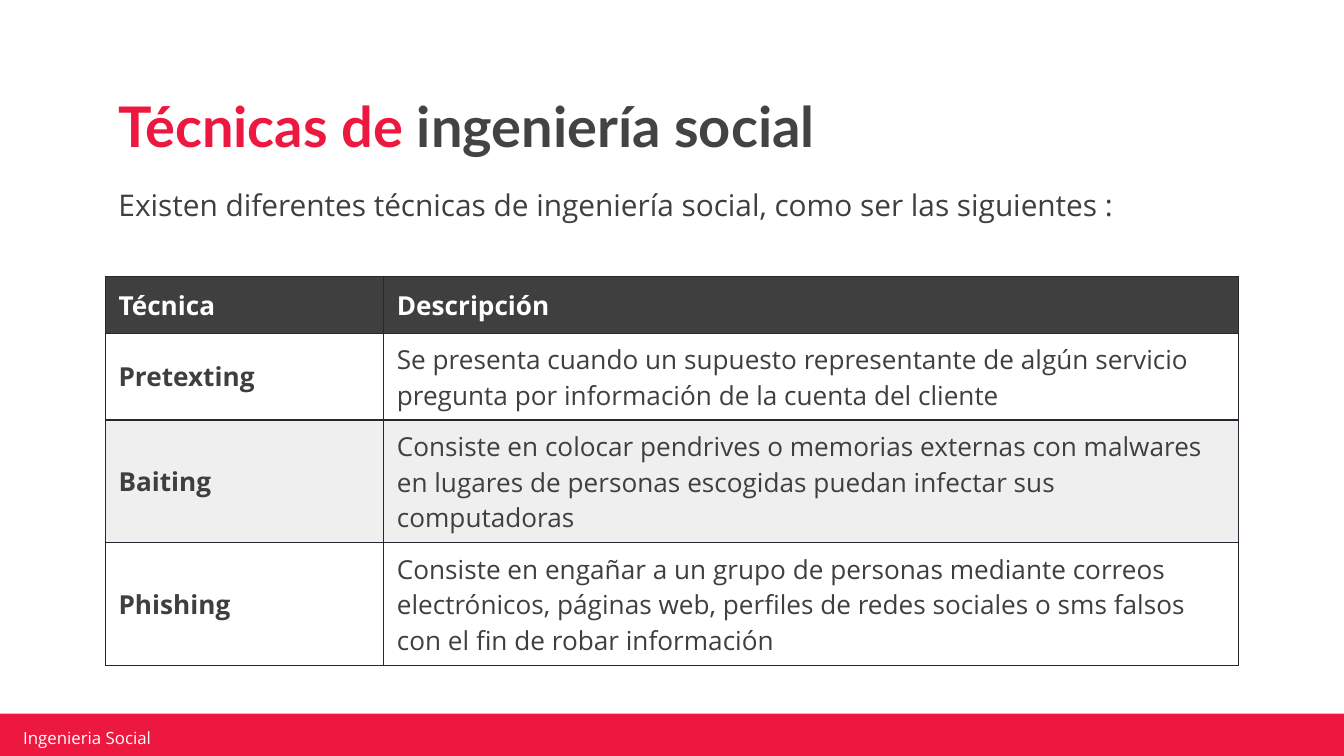
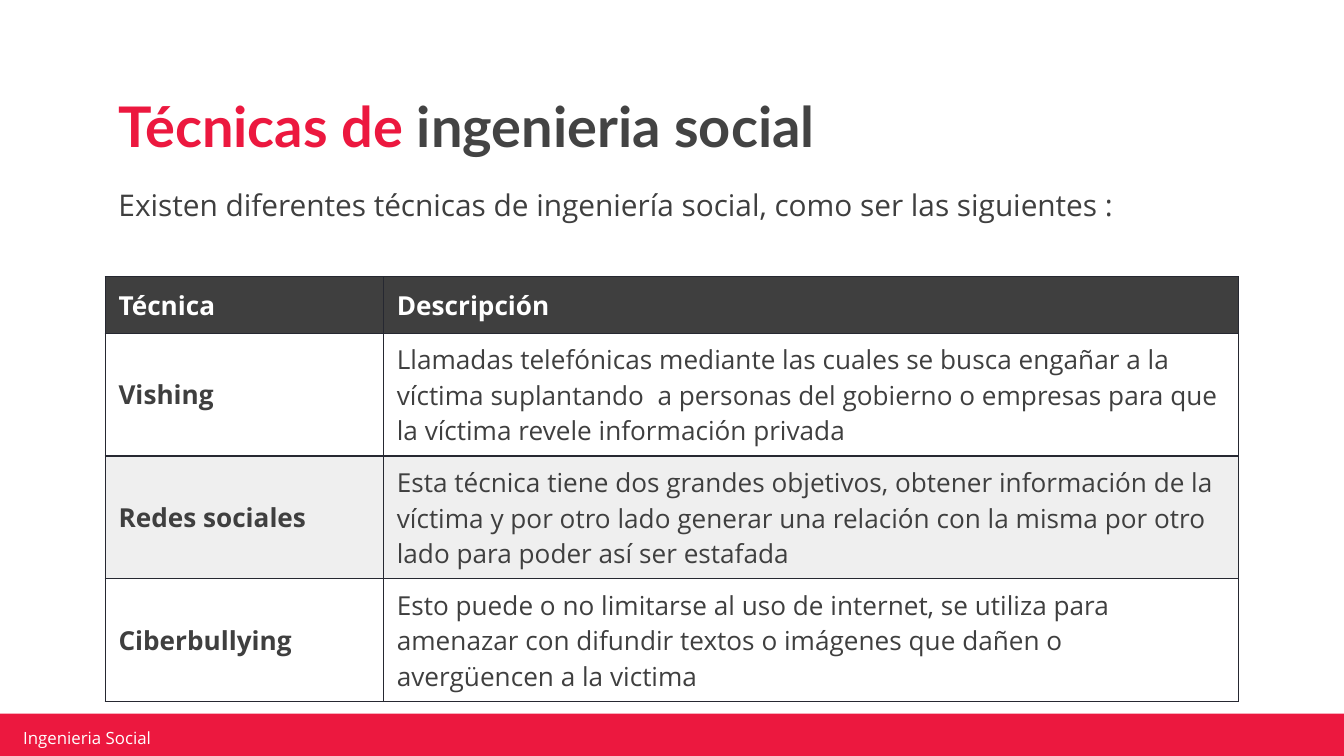
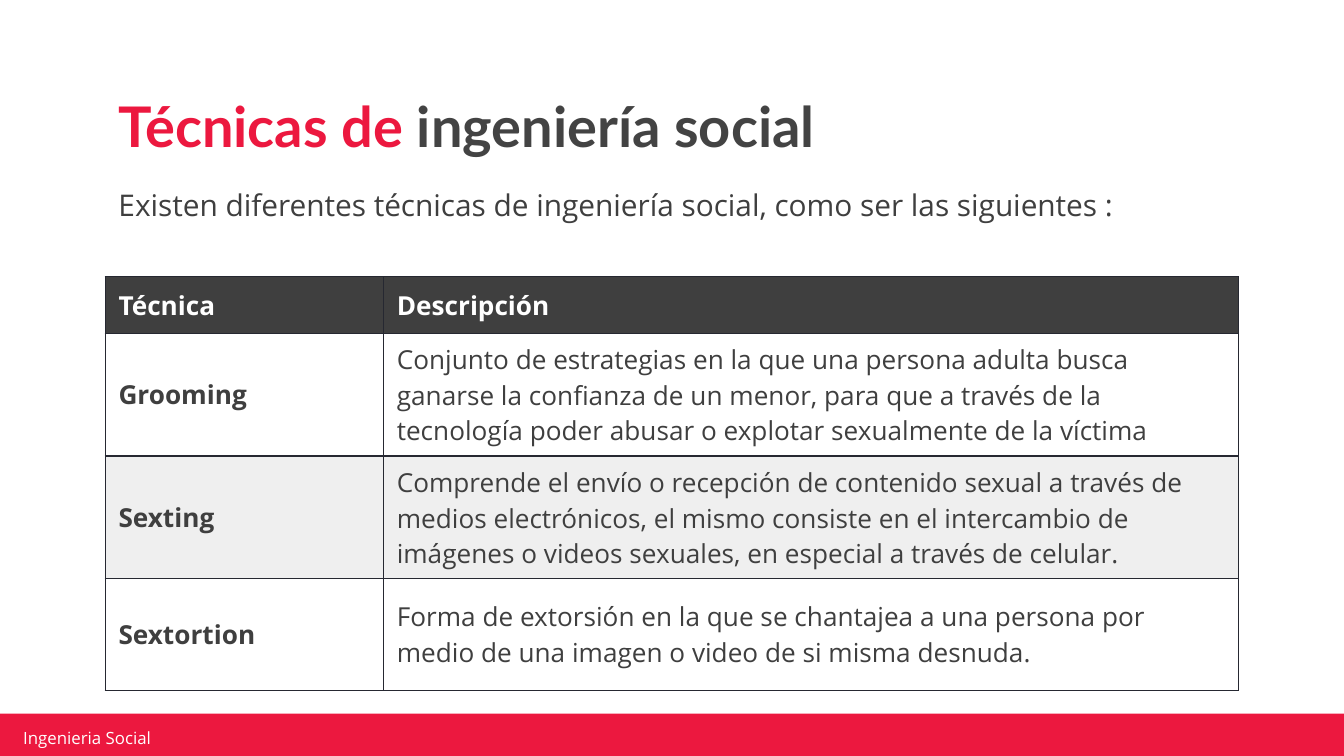
from lxml import etree
from pptx import Presentation
from pptx.dml.color import RGBColor
from pptx.enum.shapes import MSO_SHAPE
from pptx.enum.text import MSO_ANCHOR
from pptx.oxml.ns import qn
from pptx.util import Cm, Pt

RECT = MSO_SHAPE.RECTANGLE
TOP, MIDDLE, BOTTOM = MSO_ANCHOR.TOP, MSO_ANCHOR.MIDDLE, MSO_ANCHOR.BOTTOM
COLORS = {"red": "EC183F", "title": "434343", "text": "3F3F3F",
          "stripe": "EFEFEF", "border": "262831", "white": "FFFFFF"}
TITLE = {"name": "Lato", "size": Pt(30), "bold": True}
INTRO = {"name": "Open Sans", "size": Pt(16)}
CELL = {"name": "Open Sans", "size": Pt(14)}
FOOTER = {"name": "Open Sans", "size": Pt(9)}
LEFT, WIDTH = 1.99, 21.41
COLUMNS = (5.26, 16.15)
HEADER_ROW, TWO_LINES, THREE_LINES, TALL_ROW = 1.07, 1.64, 2.32, 2.11
HEADER = ("Técnica", "Descripción")
INTRO_TEXT = "Existen diferentes técnicas de ingeniería social, como ser las siguientes :"

SLIDES = [
    ("ingeniería social", (TWO_LINES, THREE_LINES, THREE_LINES), [
        ("Pretexting", "Se presenta cuando un supuesto representante de algún servicio "
         "pregunta por información de la cuenta del cliente"),
        ("Baiting", "Consiste en colocar pendrives o memorias externas con malwares en "
         "lugares de personas escogidas puedan infectar sus computadoras"),
        ("Phishing", "Consiste en engañar a un grupo de personas mediante correos "
         "electrónicos, páginas web, perfiles de redes sociales o sms falsos con el fin "
         "de robar información"),
    ]),
    ("ingenieria social", (THREE_LINES, THREE_LINES, THREE_LINES), [
        ("Vishing", "Llamadas telefónicas mediante las cuales se busca engañar a la "
         "víctima suplantando  a personas del gobierno o empresas para que la víctima "
         "revele información privada"),
        ("Redes sociales", "Esta técnica tiene dos grandes objetivos, obtener información "
         "de la víctima y por otro lado generar una relación con la misma por otro lado "
         "para poder así ser estafada"),
        ("Ciberbullying", "Esto puede o no limitarse al uso de internet, se utiliza para "
         "amenazar con difundir textos o imágenes que dañen o avergüencen a la victima"),
    ]),
    ("ingeniería social", (THREE_LINES, THREE_LINES, TALL_ROW), [
        ("Grooming", "Conjunto de estrategias en la que una persona adulta busca ganarse "
         "la confianza de un menor, para que a través de la tecnología poder abusar o "
         "explotar sexualmente de la víctima"),
        ("Sexting", "Comprende el envío o recepción de contenido sexual a través de medios "
         "electrónicos, el mismo consiste en el intercambio de imágenes o videos sexuales, "
         "en especial a través de celular."),
        ("Sextortion", "Forma de extorsión en la que se chantajea a una persona por medio "
         "de una imagen o video de si misma desnuda."),
    ]),
]


def rgb(name):
    """Return the named colour."""
    return RGBColor.from_string(COLORS[name])


def set_attrs(obj, values):
    """Set several attributes of an object."""
    for key, value in values.items():
        setattr(obj, key, value)


def margins(x, y):
    """Return margin settings for the given horizontal and vertical insets."""
    return {"margin_left": Cm(x), "margin_right": Cm(x),
            "margin_top": Cm(y), "margin_bottom": Cm(y)}


def add_run(p, text, font, color):
    """Append a formatted run to a paragraph."""
    r = p.add_run()
    r.text = text
    set_attrs(r.font, font)
    r.font.color.rgb = rgb(color)


def add_text(s, box, runs, font, anchor=TOP, inset=(0.25, 0.25), **spacing):
    """Add a one-paragraph text box made of (text, colour) runs."""
    tf = s.shapes.add_textbox(*map(Cm, box)).text_frame
    set_attrs(tf, {"word_wrap": True, "vertical_anchor": anchor, **margins(*inset)})
    p = tf.paragraphs[0]
    set_attrs(p, spacing)
    for text, color in runs:
        add_run(p, text, font, color)


def add_footer(s):
    """Add the red band and its label."""
    sp = s.shapes.add_shape(RECT, Cm(-0.05), Cm(13.49), Cm(25.48), Cm(0.91))
    sp.shadow.inherit = False
    sp.fill.solid()
    sp.fill.fore_color.rgb = rgb("red")
    sp.line.fill.background()
    add_text(s, (0.31, 13.75, 6.07, 0.38), [("Ingenieria Social", "white")],
             FOOTER, MIDDLE, (0.13, 0.05))


def add_borders(cell):
    """Draw a thin line on the four sides of a cell."""
    tc_pr = cell._tc.get_or_add_tcPr()
    for side in ("a:lnL", "a:lnR", "a:lnT", "a:lnB"):
        ln = etree.SubElement(tc_pr, qn(side), w=str(Pt(0.75)))
        fill = etree.SubElement(ln, qn("a:solidFill"))
        etree.SubElement(fill, qn("a:srgbClr"), val=COLORS["border"])


def fill_cell(cell, text, bold, color, fill):
    """Write and format one table cell."""
    set_attrs(cell, {"vertical_anchor": MIDDLE, **margins(0.25, 0.16)})
    add_borders(cell)
    if fill:
        cell.fill.solid()
        cell.fill.fore_color.rgb = rgb(fill)
    else:
        cell.fill.background()
    p = cell.text_frame.paragraphs[0]
    p.space_before = Pt(6)
    add_run(p, text, {**CELL, "bold": bold}, color)


def add_techniques(s, techniques, body_heights):
    """Add the table of techniques and their descriptions."""
    rows = [HEADER, *techniques]
    heights = [HEADER_ROW, *body_heights]
    table = s.shapes.add_table(len(rows), len(COLUMNS), Cm(LEFT), Cm(5.23),
                               Cm(WIDTH), Cm(sum(heights))).table
    for column, width in zip(table.columns, COLUMNS):
        column.width = Cm(width)
    for i, (row, height) in enumerate(zip(rows, heights)):
        table.rows[i].height = Cm(height)
        color = "text" if i else "white"
        fill = ("stripe" if i % 2 == 0 else None) if i else "text"
        for j, text in enumerate(row):
            fill_cell(table.cell(i, j), text, i == 0 or j == 0, color, fill)


def add_slide(prs, subject, body_heights, techniques):
    """Add one slide of techniques."""
    s = prs.slides.add_slide(prs.slide_layouts[6])
    add_footer(s)
    add_text(s, (LEFT, 1.52, WIDTH, 1.75), [("Técnicas de ", "red"), (subject, "title")],
             TITLE, BOTTOM, line_spacing=0.9)
    add_text(s, (LEFT, 3.28, WIDTH, 1.35), [(INTRO_TEXT, "text")], INTRO,
             space_before=Pt(6))
    add_techniques(s, techniques, body_heights)


def main():
    """Build and save the presentation."""
    prs = Presentation()
    set_attrs(prs, {"slide_width": Cm(25.4), "slide_height": Cm(14.29)})
    for content in SLIDES:
        add_slide(prs, *content)
    prs.save("out.pptx")


if __name__ == "__main__":
    main()
